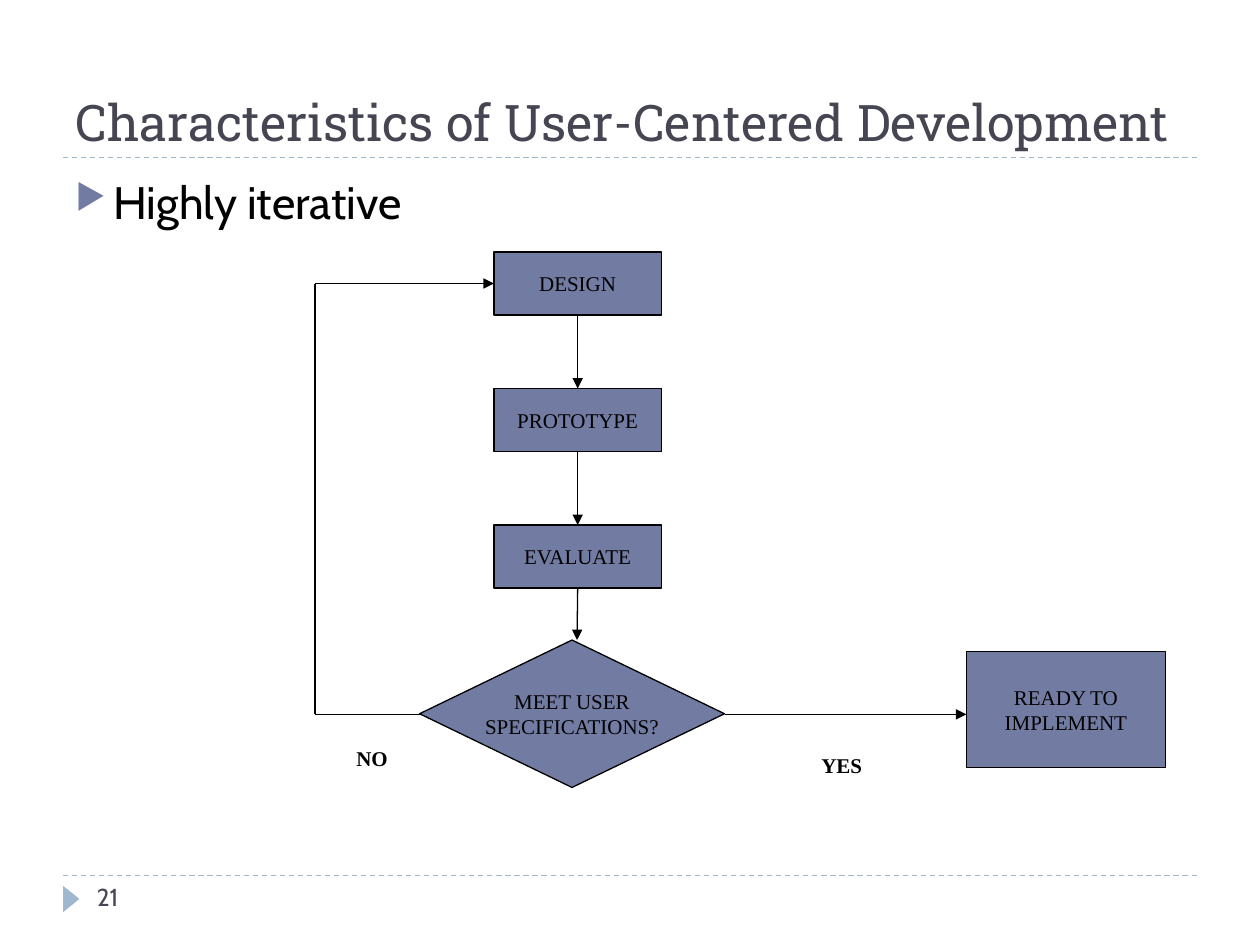
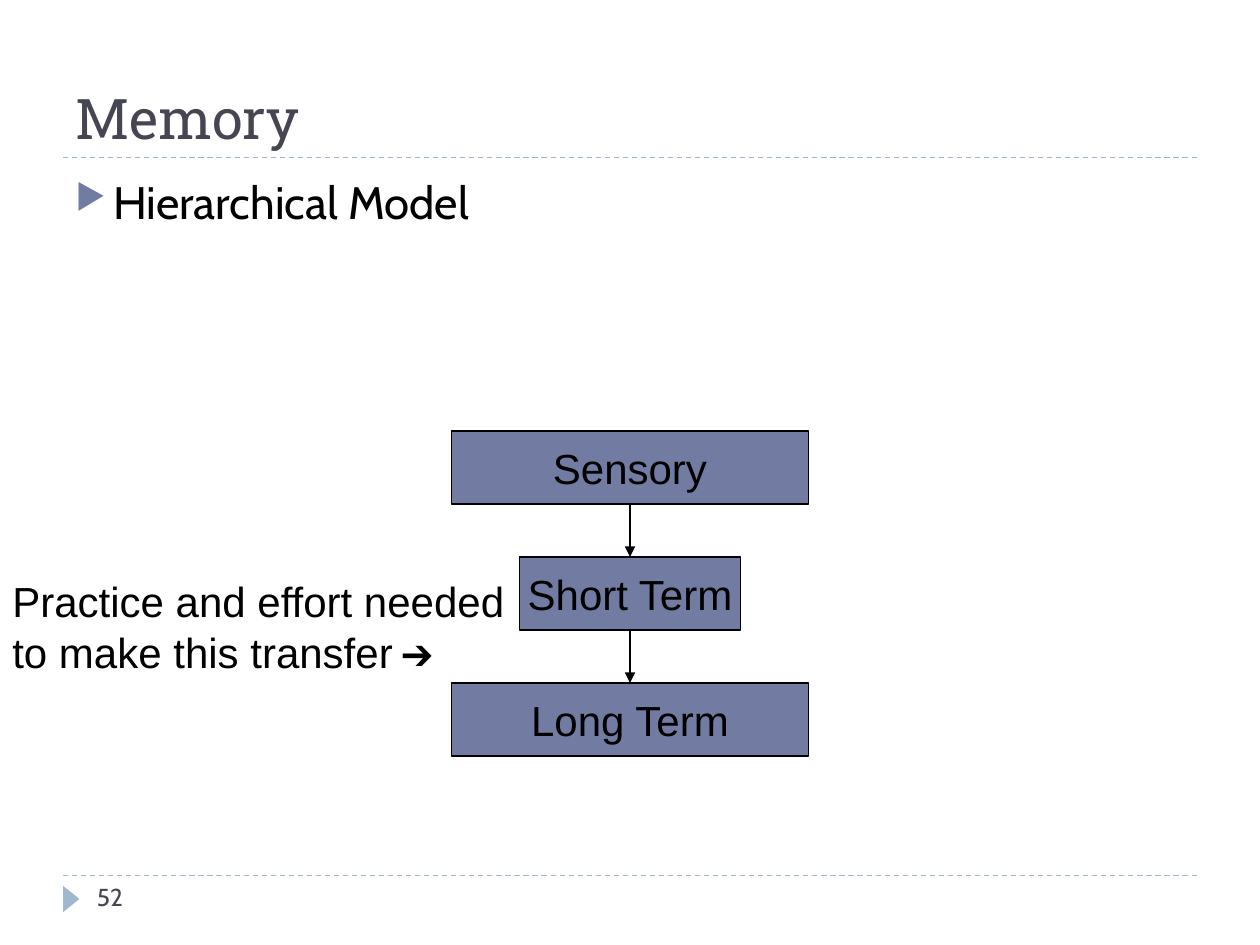
from lxml import etree
from pptx import Presentation
from pptx.dml.color import RGBColor
from pptx.enum import dml, shapes, text
from pptx.oxml import ns
from pptx.util import Inches, Pt

# Shared colours and text styles
BLACK, INK, BOX_FILL, ACCENT = "000000", "464653", "727CA3", "9FB8CD"
TITLE = {"name": "Roboto Slab", "size": Pt(32), "color": INK}
BULLET = {"name": "Cabin", "size": Pt(26), "color": BLACK}
PAGE_NUMBER = {"name": "Cabin", "size": Pt(14), "color": INK}
FLOW = {"name": "Times New Roman", "size": Pt(12), "color": BLACK}
FLOW_LABEL = {**FLOW, "bold": True}
MEMORY = {"name": "Arial", "size": Pt(24), "color": BLACK}
ARROW_GLYPH = {**FLOW, "size": Pt(20)}


def rgb(hex_color):
    return RGBColor.from_string(hex_color)


def format_font(font, style):
    for name, value in style.items():
        if name == "color":
            font.color.rgb = rgb(value)
        else:
            setattr(font, name, value)


def add_xml(parent, tag, **attributes):
    return etree.SubElement(parent, ns.qn(tag), attributes)


def add_text(slide, place, content, style, wrap=True):
    box = slide.shapes.add_textbox(*map(Inches, place))
    box.text_frame.word_wrap = wrap
    paragraph = box.text_frame.paragraphs[0]
    run = paragraph.add_run()
    run.text = content
    format_font(run.font, style)
    return paragraph


def add_bullet(slide, content):
    paragraph = add_text(slide, (0.5, 1.33, 9, 5.4), content, BULLET)
    properties = paragraph._p.get_or_add_pPr()
    properties.set("marL", str(Inches(0.3)))
    properties.set("indent", str(Inches(-0.3)))
    add_xml(add_xml(properties, "a:buClr"), "a:srgbClr", val=BOX_FILL)
    add_xml(properties, "a:buSzPct", val="76000")
    add_xml(properties, "a:buChar", char="▶")


def add_preset(slide, kind, place, fill):
    shape = slide.shapes.add_shape(kind, *map(Inches, place))
    shape.shadow.inherit = False
    shape.fill.solid()
    shape.fill.fore_color.rgb = rgb(fill)
    return shape


def add_box(slide, place, lines, style, kind=shapes.MSO_SHAPE.RECTANGLE):
    box = add_preset(slide, kind, place, BOX_FILL)
    box.line.color.rgb = rgb(BLACK)
    box.line.width = Pt(0.75)
    frame = box.text_frame
    frame.word_wrap = False
    frame.text = "\n".join(lines)
    for paragraph in frame.paragraphs:
        paragraph.alignment = text.PP_ALIGN.CENTER
        format_font(paragraph.runs[0].font, style)
    return box


def add_line(slide, start, end, color=BLACK, width=0.75, dash=None, arrow=False):
    line = slide.shapes.add_connector(
        shapes.MSO_CONNECTOR.STRAIGHT, *map(Inches, (*start, *end)))
    line.line.color.rgb = rgb(color)
    line.line.width = Pt(width)
    if dash:
        line.line.dash_style = dash
    properties = line._element.spPr
    if arrow:
        add_xml(properties.find(ns.qn("a:ln")), "a:tailEnd", type="triangle")
    add_xml(properties, "a:effectLst")
    return line


def join_down(slide, boxes, width=0.75):
    """Arrow from the bottom of each box to the top of the next."""
    for upper, lower in zip(boxes, boxes[1:]):
        arrow = add_line(slide, (0, 0), (1, 1), width=width, arrow=True)
        arrow.begin_connect(upper, 2)
        arrow.end_connect(lower, 0)


def add_slide(presentation, title, page, bullet, title_size=32):
    slide = presentation.slides.add_slide(presentation.slide_layouts[5])
    # Rules and page marker
    for y in (6.95, 1.25):
        add_line(slide, (0.5, y), (9.5, y), ACCENT, dash=dml.MSO_LINE.DASH)
    marker = add_preset(slide, shapes.MSO_SHAPE.ISOSCELES_TRIANGLE,
                        (0.46, 7.07, 0.21, 0.13), ACCENT)
    marker.rotation = 90
    marker.line.fill.background()
    # Title, page number and bullet
    heading = slide.shapes.title
    place = {"left": 0.5, "top": 0.17, "width": 9, "height": 1.08}
    for name, value in place.items():
        setattr(heading, name, Inches(value))
    frame = heading.text_frame
    frame.text = title
    frame.auto_size = text.MSO_AUTO_SIZE.NONE
    frame.vertical_anchor = text.MSO_ANCHOR.BOTTOM
    frame.paragraphs[0].alignment = text.PP_ALIGN.LEFT
    format_font(frame.paragraphs[0].runs[0].font, {**TITLE, "size": Pt(title_size)})
    add_text(slide, (0.67, 6.95, 2.17, 0.4), page, PAGE_NUMBER)
    add_bullet(slide, bullet)
    return slide


def build_development(presentation):
    slide = add_slide(presentation, "Characteristics of User-Centered Development",
                      "21", "Highly iterative", title_size=28.8)
    # Steps and decision
    steps = [add_box(slide, (3.92, 2 + row * 13 / 12, 1.33, 0.5), [name], FLOW)
             for row, name in enumerate(("DESIGN", "PROTOTYPE", "EVALUATE"))]
    add_box(slide, (7.67, 5.17, 1.58, 0.92), ["READY TO", "IMPLEMENT"], FLOW)
    add_box(slide, (3.33, 5.08, 2.42, 1.17), ["MEET USER", "SPECIFICATIONS?"],
            FLOW, shapes.MSO_SHAPE.FLOWCHART_DECISION)
    join_down(slide, steps)
    to_decision = add_line(slide, (4.58, 4.67), (4.58, 5.08), arrow=True)
    to_decision.begin_connect(steps[-1], 2)
    # Yes branch, and no branch back to the first step
    add_line(slide, (5.75, 5.67), (7.67, 5.67), arrow=True)
    add_line(slide, (3.33, 5.67), (2.5, 5.67))
    add_line(slide, (2.5, 5.67), (2.5, 2.25))
    back = add_line(slide, (2.5, 2.25), (3.92, 2.25), arrow=True)
    back.end_connect(steps[0], 1)
    add_text(slide, (2.73, 5.87, 0.45, 0.3), "NO", FLOW_LABEL, wrap=False)
    add_text(slide, (6.42, 5.92, 0.75, 0.3), "YES", FLOW_LABEL)


def build_memory(presentation):
    slide = add_slide(presentation, "Memory", "52", "Hierarchical Model")
    # Memory levels centred on the slide
    levels = (("Sensory", 2.83), ("Short Term", 1.75), ("Long Term", 2.83))
    boxes = [add_box(slide, (5 - width / 2, 3.42 + row, width, 0.58), [name], MEMORY)
             for row, (name, width) in enumerate(levels)]
    join_down(slide, boxes, width=1.5)
    # Remark pointing at the second arrow
    remark = add_text(slide, (0, 4.52, 4.17, 0.9),
                      "Practice and effort needed to make this transfer", MEMORY)
    glyph = remark.add_run()
    glyph.text = " ➔"
    format_font(glyph.font, ARROW_GLYPH)


def main():
    presentation = Presentation()
    presentation.slide_width = Inches(10)
    presentation.slide_height = Inches(7.5)
    build_development(presentation)
    build_memory(presentation)
    presentation.save("out.pptx")


if __name__ == "__main__":
    main()
